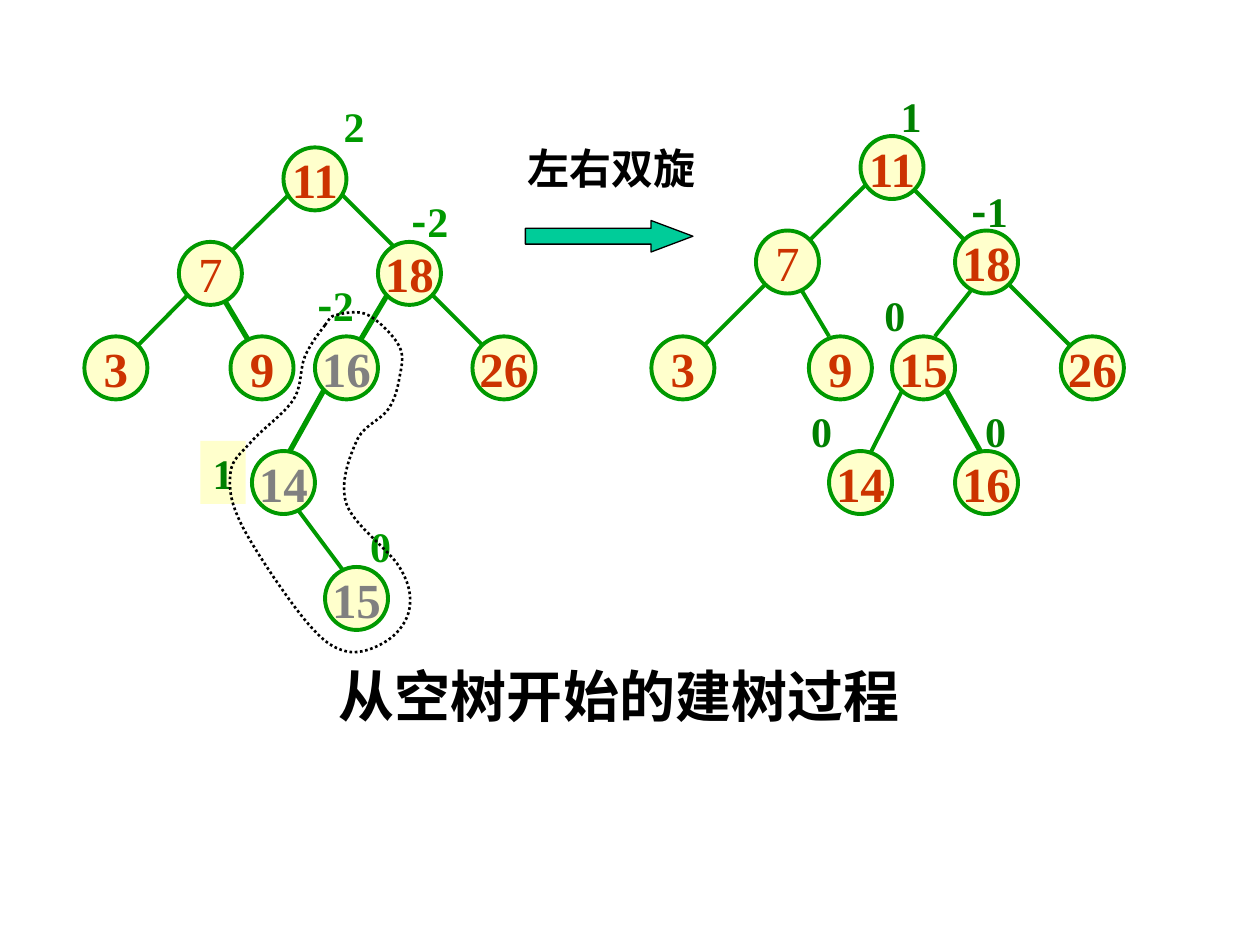
from lxml.etree import SubElement
from pptx import Presentation
from pptx.dml.color import RGBColor
from pptx.enum.dml import MSO_LINE
from pptx.enum.shapes import MSO_CONNECTOR, MSO_SHAPE
from pptx.enum.text import MSO_ANCHOR, MSO_AUTO_SIZE, PP_ALIGN
from pptx.oxml.ns import qn
from pptx.util import Inches, Pt

GREEN = RGBColor(0x00, 0x99, 0x00)
DARK_GREEN = RGBColor(0x00, 0x80, 0x00)
CREAM = RGBColor(0xFF, 0xFF, 0xCC)
RED = RGBColor(0xCC, 0x33, 0x00)
GRAY = RGBColor(0x80, 0x80, 0x80)
TEAL = RGBColor(0x00, 0xCC, 0x99)
BLACK = RGBColor(0x00, 0x00, 0x00)

SERIF = "Times New Roman"
SANS = "Noto Sans CJK SC"
NODE_SIZE = 0.5

THIN, THICK = 2.25, 3

EDGES = [
    (2.42, 1.42, 1.83, 2, THIN),
    (2.67, 1.5, 3.17, 2, THIN),
    (1.58, 2.25, 0.92, 2.92, THIN),
    (1.75, 2.33, 2, 2.75, THICK),
    (3.08, 2.33, 2.83, 2.75, THICK),
    (3.42, 2.33, 3.92, 2.83, THIN),
    (2.58, 3.08, 2.25, 3.67, THICK),
    (2.33, 4, 2.83, 4.67, THIN),
    (6.92, 1.42, 6.33, 2, THIN),
    (7.25, 1.5, 7.75, 2, THIN),
    (6.08, 2.25, 5.58, 2.75, THIN),
    (6.33, 2.25, 6.58, 2.67, THIN),
    (7.75, 2.25, 7.42, 2.67, THIN),
    (8, 2.25, 8.75, 3, THIN),
    (7.17, 3.08, 6.83, 3.75, THIN),
    (7.5, 3.08, 7.92, 3.83, THICK),
]

BEFORE_NODES = [
    ("11", 2.25, 1.17, RED), ("7", 1.42, 1.92, RED), ("18", 3, 1.92, RED),
    ("3", 0.67, 2.67, RED), ("9", 1.83, 2.67, RED), ("16", 2.5, 2.67, GRAY),
    ("26", 3.75, 2.67, RED), ("14", 2, 3.58, GRAY), ("15", 2.58, 4.5, GRAY),
]
AFTER_NODES = [
    ("11", 6.83, 1.08, RED), ("7", 6, 1.83, RED), ("18", 7.58, 1.83, RED),
    ("3", 5.17, 2.67, RED), ("9", 6.42, 2.67, RED), ("15", 7.08, 2.67, RED),
    ("26", 8.42, 2.67, RED), ("14", 6.58, 3.58, RED), ("16", 7.58, 3.58, RED),
]

BALANCE_FACTORS = [
    ("2", 2.63, 0.75, 0.36, GREEN), ("-2", 3.17, 1.5, 0.53, GREEN),
    ("-2", 2.42, 2.17, 0.53, GREEN), ("0", 2.84, 4.08, 0.36, GREEN),
    ("1", 7.05, 0.67, 0.36, DARK_GREEN), ("-1", 7.61, 1.42, 0.49, DARK_GREEN),
    ("0", 6.92, 2.25, 0.36, DARK_GREEN), ("0", 6.34, 3.17, 0.36, DARK_GREEN),
    ("0", 7.72, 3.17, 0.36, DARK_GREEN), ("1", 1.59, 3.5, 0.36, DARK_GREEN),
]

ROTATED_PATH_KNOTS = [
    (2.58, 2.58), (2.42, 2.83), (2.33, 3.17), (2, 3.5), (1.83, 3.75),
    (1.92, 4.17), (2.42, 4.92), (2.75, 5.17), (3.08, 5.08), (3.25, 4.83),
    (3.17, 4.5), (2.75, 4), (2.83, 3.5), (3.08, 3.25), (3.17, 3),
    (3.17, 2.75), (2.92, 2.5), (2.67, 2.5),
]


def write_text(frame, text, size=24, color=BLACK, bold=True,
               align=PP_ALIGN.LEFT, anchor=MSO_ANCHOR.TOP):
    frame.word_wrap = False
    frame.auto_size = MSO_AUTO_SIZE.NONE
    frame.vertical_anchor = anchor
    paragraph = frame.paragraphs[0]
    paragraph.alignment = align
    pieces = [("-", SANS), (text[1:], SERIF)] if text.startswith("-") else [(text, SERIF)]
    for piece, typeface in pieces:
        run = paragraph.add_run()
        run.text = piece
        run.font.size = Pt(size)
        run.font.bold = bold
        run.font.color.rgb = color
        run.font.name = typeface
        SubElement(run.font._element, qn("a:ea"), typeface=SANS)


def add_edge(slide, x1, y1, x2, y2, width):
    edge = slide.shapes.add_connector(
        MSO_CONNECTOR.STRAIGHT, Inches(x1), Inches(y1), Inches(x2), Inches(y2))
    edge.line.color.rgb = GREEN
    edge.line.width = Pt(width)
    SubElement(edge._element.spPr, qn("a:effectLst"))


def add_filled(slide, preset, left, top, width, height, fill):
    filled = slide.shapes.add_shape(
        preset, Inches(left), Inches(top), Inches(width), Inches(height))
    filled.shadow.inherit = False
    filled.fill.solid()
    filled.fill.fore_color.rgb = fill
    return filled


def add_node(slide, key, left, top, color):
    node = add_filled(slide, MSO_SHAPE.OVAL, left, top, NODE_SIZE, NODE_SIZE, CREAM)
    node.line.color.rgb = GREEN
    node.line.width = Pt(THIN)
    write_text(node.text_frame, key, size=28, color=color, bold=key != "7",
               align=PP_ALIGN.CENTER, anchor=MSO_ANCHOR.MIDDLE)


def add_label(slide, text, left, top, width, color=BLACK):
    label = slide.shapes.add_textbox(
        Inches(left), Inches(top), Inches(width), Inches(0.5))
    write_text(label.text_frame, text, color=color)


def add_rotation_arrow(slide):
    arrow = add_filled(slide, MSO_SHAPE.RIGHT_ARROW, 4.17, 1.75, 1.33, 0.25, TEAL)
    arrow.adjustments[1] = 1.33
    arrow.line.color.rgb = BLACK
    arrow.line.width = Pt(0.75)


def spline_points(knots):
    count = len(knots)
    points = []
    for i, start in enumerate(knots):
        before, end, after = knots[i - 1], knots[(i + 1) % count], knots[(i + 2) % count]
        points.append(tuple(s + (e - b) / 6 for b, s, e in zip(before, start, end)))
        points.append(tuple(e - (a - s) / 6 for s, e, a in zip(start, end, after)))
        points.append(end)
    return points


def add_rotated_outline(slide):
    start_x, start_y = ROTATED_PATH_KNOTS[0]
    builder = slide.shapes.build_freeform(Inches(start_x), Inches(start_y))
    builder.add_line_segments(
        [(Inches(x), Inches(y)) for x, y in spline_points(ROTATED_PATH_KNOTS)], close=True)
    outline = builder.convert_to_shape()
    segments = list(outline._element.iter(qn("a:lnTo")))
    for i in range(0, len(ROTATED_PATH_KNOTS) * 3, 3):
        first, *rest = segments[i:i + 3]
        first.tag = qn("a:cubicBezTo")
        for segment in rest:
            first.append(segment[0])
            segment.getparent().remove(segment)
    outline.shadow.inherit = False
    outline.fill.background()
    outline.line.color.rgb = BLACK
    outline.line.width = Pt(1.5)
    outline.line.dash_style = MSO_LINE.ROUND_DOT


def add_title(slide, text):
    title = slide.shapes.title
    title.left, title.top = Inches(2.59), Inches(5.2)
    title.width, title.height = Inches(4.65), Inches(0.64)
    title.text_frame.margin_right = 0
    write_text(title.text_frame, text, size=32)


def main():
    presentation = Presentation()
    presentation.slide_width, presentation.slide_height = Inches(10), Inches(7.5)
    slide = presentation.slides.add_slide(presentation.slide_layouts[5])
    add_title(slide, "从空树开始的建树过程")
    for edge in EDGES:
        add_edge(slide, *edge)
    for node in BEFORE_NODES + AFTER_NODES:
        add_node(slide, *node)
    add_rotation_arrow(slide)
    add_label(slide, "左右双旋", 4.09, 1.08, 1.53)
    backing = add_filled(slide, MSO_SHAPE.RECTANGLE, 1.59, 3.5, 0.36, 0.5, CREAM)
    backing.line.fill.background()
    for factor in BALANCE_FACTORS:
        add_label(slide, *factor)
    add_rotated_outline(slide)
    presentation.save("out.pptx")


if __name__ == "__main__":
    main()
